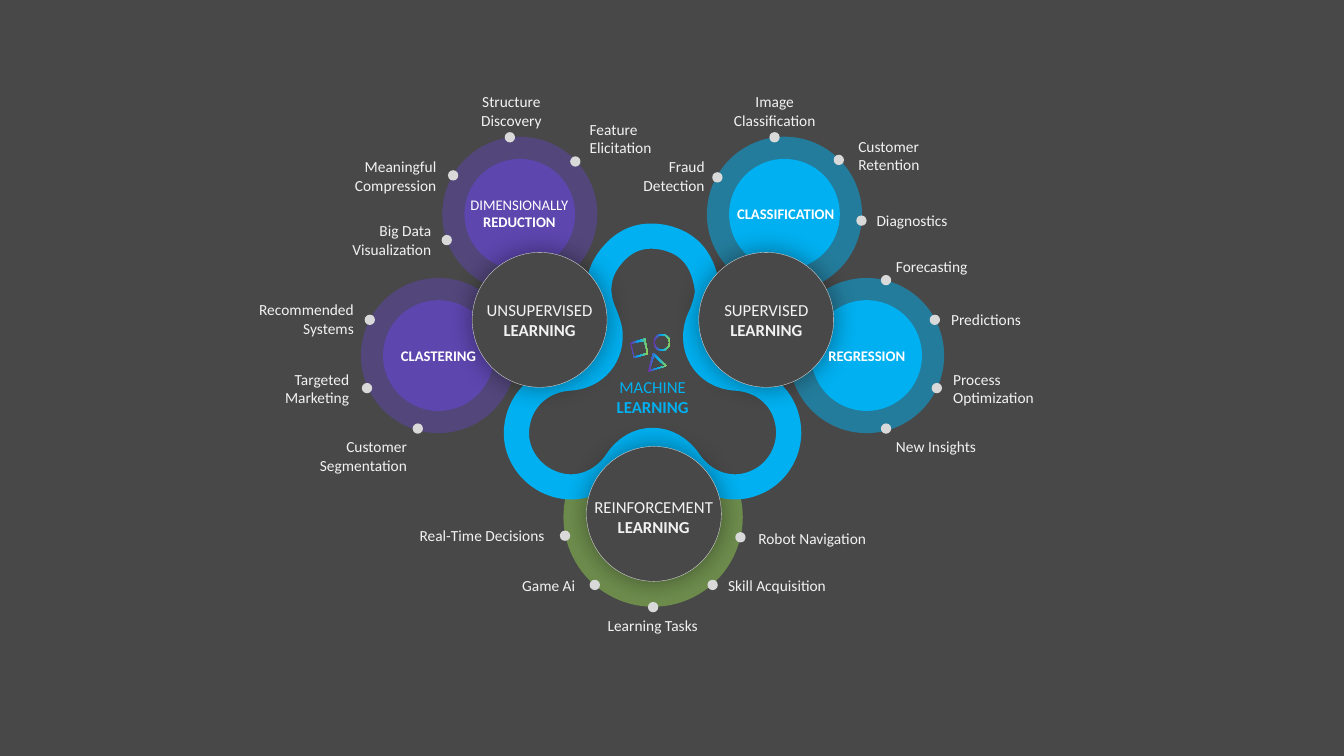
from copy import deepcopy
from lxml.etree import SubElement
from pptx import Presentation
from pptx.dml.color import RGBColor
from pptx.enum.shapes import MSO_SHAPE as Preset
from pptx.enum.text import MSO_AUTO_SIZE as AutoSize, PP_ALIGN as Align
from pptx.oxml.ns import qn
from pptx.util import Cm, Pt

THEME = {
    "font": "Calibri",
    "ground": "484848", "blue": "00B0F0", "violet": "5D46AE", "green": "92D050",
    "purple": "7030A0", "dot": "D9D9D9", "text": "F2F2F2", "white": "FFFFFF",
    "shadow": "000000", "label": 11, "hub": 12, "branch": 10.5,
}
LEFT, CENTER, RIGHT = Align.LEFT, Align.CENTER, Align.RIGHT

presentation = Presentation()
presentation.slide_width, presentation.slide_height = Cm(33.87), Cm(19.05)
slide = presentation.slides.add_slide(presentation.slide_layouts[6])
slide.background.fill.solid()
slide.background.fill.fore_color.rgb = RGBColor.from_string(THEME["ground"])
shapes = slide.shapes


def paint(shape, fill, line=None, width=0, alpha=None):
    shape.shadow.inherit = False
    shape.fill.solid()
    shape.fill.fore_color.rgb = RGBColor.from_string(THEME[fill])
    if alpha:
        color = shape._element.spPr.find(qn("a:solidFill")).find(qn("a:srgbClr"))
        SubElement(color, qn("a:alpha"), val=str(alpha * 1000))
    if line:
        shape.line.color.rgb = RGBColor.from_string(THEME[line])
        shape.line.width = Pt(width)
    else:
        shape.line.fill.background()


def add_disc(x, y, diameter, preset=Preset.OVAL):
    corner = Cm(x - diameter / 2), Cm(y - diameter / 2)
    return shapes.add_shape(preset, *corner, Cm(diameter), Cm(diameter))


branches = [
    (19.77, 5.4, "blue"), (21.84, 8.96, "blue"),
    (13.1, 5.4, "violet"), (11.05, 8.96, "violet"),
]
for x, y, color in branches:
    paint(add_disc(x, y, 3.91), color, alpha=50)
    paint(add_disc(x, y, 2.79), color)
paint(add_disc(16.46, 13.03, 4.52), "green", alpha=50)

UNIT = Cm(0.01)
loop_start = (1765, 798)
loop_curves = [
    ((1730, 871), (1775, 950), (1857, 953)),
    ((1925, 958), (1976, 1003), (1986, 1069)),
    ((1996, 1130), (1961, 1194), (1902, 1217)),
    ((1842, 1242), (1775, 1219), (1737, 1163)),
    ((1689, 1092), (1600, 1092), (1554, 1163)),
    ((1516, 1219), (1450, 1242), (1389, 1217)),
    ((1331, 1194), (1293, 1133), (1303, 1072)),
    ((1313, 1003), (1367, 958), (1433, 953)),
    ((1501, 950), (1544, 897), (1537, 833)),
    ((1534, 818), (1529, 805), (1524, 792)),
    ((1501, 742), (1504, 691), (1539, 648)),
    ((1575, 602), (1621, 587), (1676, 599)),
    ((1732, 612), (1765, 648), (1778, 704)),
    ((1781, 714), (1781, 721), (1783, 732)),
    ((1783, 747), (1775, 777), loop_start),
]
builder = shapes.build_freeform(*loop_start, scale=UNIT)
builder.add_line_segments([curve[-1] for curve in loop_curves], close=True)
loop = builder.convert_to_shape()
paint(loop, "ground", "blue", 18)
origin = next(loop._element.iter(qn("a:moveTo")))[0]
shift = [start - int(origin.get(axis)) for start, axis in zip(loop_start, "xy")]
for segment, curve in zip(list(loop._element.iter(qn("a:lnTo"))), loop_curves):
    segment.tag = qn("a:cubicBezTo")
    for index, control in enumerate(curve[:2]):
        values = {axis: str(value - offset) for axis, value, offset in zip("xy", control, shift)}
        point = deepcopy(origin)
        point.attrib.update(values)
        segment.insert(index, point)

for x, y in [(13.6, 8.06), (19.31, 8.06), (16.48, 12.95)]:
    hub = add_disc(x, y, 3.4)
    paint(hub, "ground", "dot", 0.25)
    effects = hub._element.spPr.find(qn("a:effectLst"))
    shadow = SubElement(effects, qn("a:outerShdw"), blurRad=str(Pt(18)),
                        dist="0", dir="0", algn="ctr", rotWithShape="0")
    color = SubElement(shadow, qn("a:srgbClr"), val=THEME["shadow"])
    SubElement(color, qn("a:alpha"), val="40000")

dots = [
    (14.5, 4.07), (12.85, 3.46), (11.42, 4.42), (11.26, 6.05),
    (18.08, 4.47), (19.52, 3.46), (21.14, 4.03), (21.71, 5.56),
    (22.33, 7.06), (23.56, 8.06), (23.61, 9.78), (22.33, 10.8),
    (9.32, 8.06), (9.25, 9.78), (10.53, 10.8),
    (18.66, 13.54), (17.96, 14.74), (16.46, 15.3), (14.24, 13.5), (14.99, 14.74),
]
for x, y in dots:
    paint(add_disc(x, y, 0.26), "dot")

labels = [
    (15.95, 3.84, 2.06, RIGHT, "Fraud\nDetection"),
    (18.23, 2.2, 2.59, CENTER, "Image\nClassification"),
    (21.38, 3.33, 2.08, LEFT, "Customer\nRetention"),
    (21.84, 5.19, 2.31, LEFT, "Diagnostics"),
    (22.33, 6.36, 2.34, LEFT, "Forecasting"),
    (23.72, 7.7, 2.29, LEFT, "Predictions"),
    (23.77, 9.19, 2.57, LEFT, "Process\nOptimization"),
    (22.33, 10.9, 2.54, LEFT, "New Insights"),
    (18.86, 13.21, 3.28, LEFT, "Robot Navigation"),
    (18.1, 14.4, 2.97, LEFT, "Skill Acquisition"),
    (15.04, 15.39, 2.82, CENTER, "Learning Tasks"),
    (12.9, 14.4, 1.85, RIGHT, "Game Ai"),
    (10.3, 13.13, 3.68, RIGHT, "Real-Time Decisions"),
    (7.79, 10.9, 2.72, RIGHT, "Customer\nSegmentation"),
    (6.89, 9.19, 2.16, RIGHT, "Targeted\nMarketing"),
    (6.25, 7.44, 2.92, RIGHT, "Recommended\nSystems"),
    (8.61, 5.46, 2.51, RIGHT, "Big Data\nVisualization"),
    (8.66, 3.84, 2.59, RIGHT, "Meaningful\nCompression"),
    (11.86, 2.2, 2.06, CENTER, "Structure\nDiscovery"),
    (14.61, 2.9, 2.08, LEFT, "Feature\nElicitation"),
]
titles = [
    (12, 7.42, 3.2, "UNSUPERVISED\nLEARNING", "hub", "text"),
    (17.98, 7.42, 2.67, "SUPERVISED\nLEARNING", "hub", "text"),
    (14.71, 12.4, 3.53, "REINFORCEMENT\nLEARNING", "hub", "text"),
    (11.5, 4.8, 3.18, "DIMENSIONALLY\nREDUCTION", "branch", "white"),
    (18.29, 5.03, 3.02, "CLASSIFICATION", "branch", "white"),
    (20.6, 8.61, 2.49, "REGRESSION", "branch", "white"),
    (9.83, 8.61, 2.44, "CLASTERING", "branch", "white"),
    (15.28, 9.37, 2.34, "MACHINE\nLEARNING", "hub", "blue"),
]
texts = [(*label, "label", "text", False) for label in labels]
texts += [(x, y, width, CENTER, *title, True) for x, y, width, *title in titles]
rainbow_parts = []
for x, y, width, align, text, size, color, bold_end in texts:
    lines = text.split("\n")
    height = 0.25 + 0.043 * THEME[size] * len(lines)
    frame = shapes.add_textbox(Cm(x), Cm(y), Cm(width), Cm(height)).text_frame
    frame.text = text
    for name, value in {"word_wrap": False, "auto_size": AutoSize.SHAPE_TO_FIT_TEXT}.items():
        setattr(frame, name, value)
    for number, paragraph in enumerate(frame.paragraphs, 1):
        paragraph.alignment = align
        run = paragraph.runs[0]
        run.font.color.rgb = RGBColor.from_string(THEME[color])
        font_format = {"name": THEME["font"], "size": Pt(THEME[size]),
                       "bold": bold_end and number == len(lines)}
        for name, value in font_format.items():
            setattr(run.font, name, value)
        if color == "blue":
            rainbow_parts.append((run.font.fill, run._r))

square = [
    [(1588, 864), (1598, 902), (1633, 892), (1626, 853)],
    [(1631, 889), (1623, 859), (1590, 866), (1598, 899)],
]
triangle = [
    [(1633, 937), (1681, 922), (1646, 889)],
    [(1676, 922), (1648, 897), (1638, 932)],
]
icons = []
for outer, inner in (square, triangle):
    builder = shapes.build_freeform(*outer[0], scale=UNIT)
    builder.add_line_segments(outer[1:], close=True)
    builder.move_to(*inner[0])
    builder.add_line_segments(inner[1:], close=True)
    icons.append(builder.convert_to_shape())
ring = add_disc(16.68, 8.63, 0.43, Preset.DONUT)
ring.adjustments[0] = 0.07
icons.append(ring)
for icon in icons:
    paint(icon, "blue")
    rainbow_parts.append((icon.fill, icon._element.spPr))

rainbow = [(0.01, "purple"), (0.5, "blue"), (0.99, "green")]
for fill, element in rainbow_parts:
    fill.gradient()
    fill.gradient_angle = 0
    stop_list = next(element.iter(qn("a:gsLst")))
    stop_list.insert(1, deepcopy(stop_list[0]))
    for stop, (position, color) in zip(fill.gradient_stops, rainbow):
        stop.position = position
        stop.color.rgb = RGBColor.from_string(THEME[color])

presentation.save("out.pptx")
